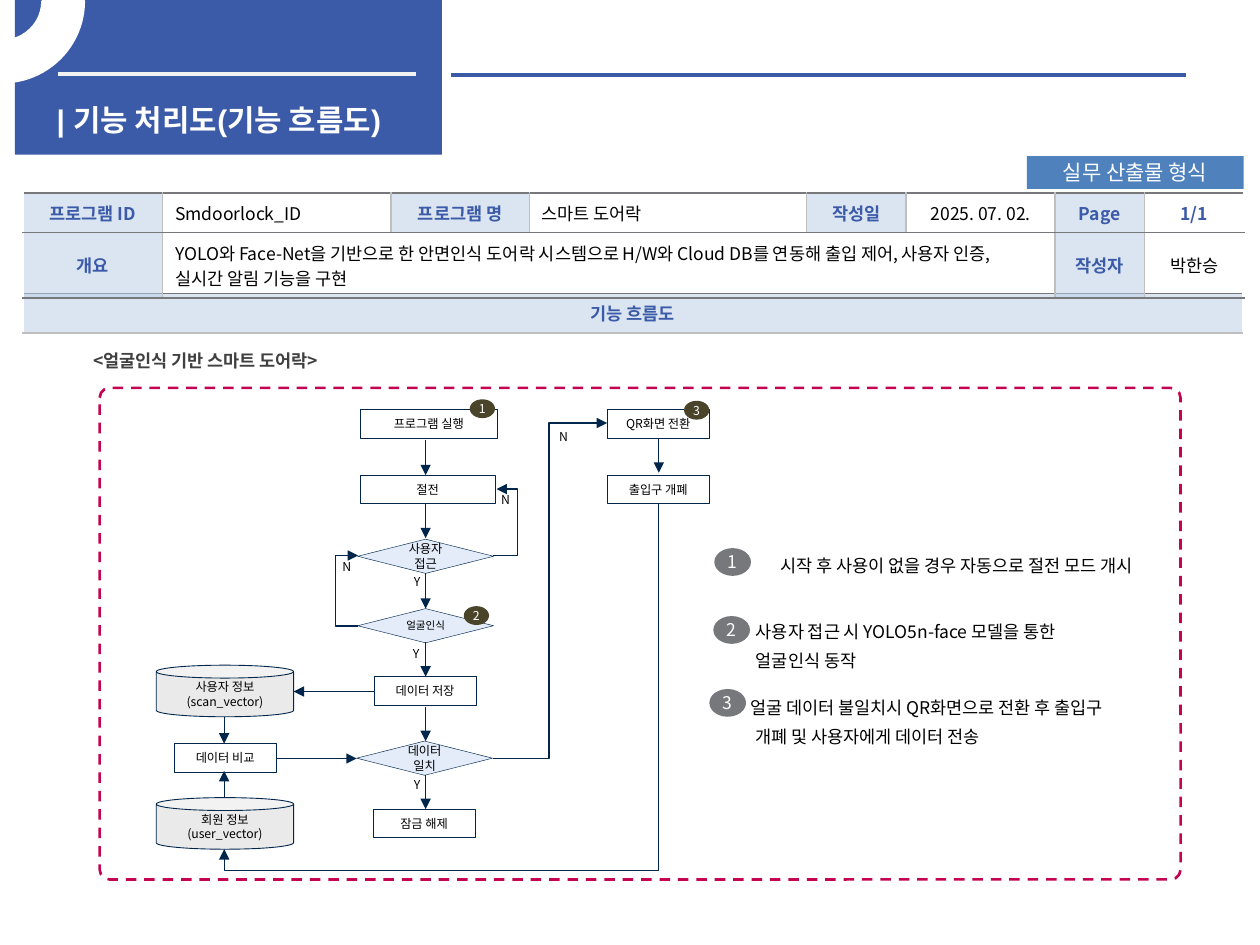
from lxml.etree import SubElement
from pptx import Presentation
from pptx.dml.color import RGBColor
from pptx.enum.dml import MSO_LINE
from pptx.enum.shapes import MSO_CONNECTOR, MSO_SHAPE
from pptx.enum.text import MSO_ANCHOR, MSO_AUTO_SIZE, PP_ALIGN
from pptx.oxml.ns import qn
from pptx.util import Cm, Pt

COLORS = {
    "blue": "3B5AA8", "tag": "4F81BD", "header": "B9CDE5", "white": "FFFFFF",
    "black": "000000", "heading": "404040", "rule": "F2F2F2", "gray": "77787B",
    "light": "BFBFBF", "frame": "C40452", "navy": "00264C", "decision": "E3ECF8",
    "store": "EAEAEA", "olive": "4A452A",
}
FONT = "Noto Sans CJK KR"


def rgb(name):
    """Look up a named colour."""
    return RGBColor.from_string(COLORS[name])


def write(frame, lines, size, color="black", bold=False, font=FONT, align=PP_ALIGN.CENTER):
    """Fill a text frame with one paragraph per line."""
    for index, line in enumerate(lines):
        paragraph = frame.paragraphs[0] if index == 0 else frame.add_paragraph()
        paragraph.alignment = align
        run = paragraph.add_run()
        run.text = line
        run.font.size = Pt(size)
        run.font.bold = bold
        run.font.color.rgb = rgb(color)
        run.font.name = font
        SubElement(run.font._element, qn("a:ea"), typeface=FONT)


def set_margins(frame, margin):
    """Give a text frame the same inset on all sides."""
    frame.margin_left = frame.margin_right = Cm(margin)
    frame.margin_top = frame.margin_bottom = Cm(margin)


def add_box(slide, kind, box, fill=None, line=None, width=0.5):
    """Add a flat preset shape."""
    shape = slide.shapes.add_shape(kind, *map(Cm, box))
    shape.shadow.inherit = False
    if fill:
        shape.fill.solid()
        shape.fill.fore_color.rgb = rgb(fill)
    else:
        shape.fill.background()
    if line:
        shape.line.color.rgb = rgb(line)
        shape.line.width = Pt(width)
    else:
        shape.line.fill.background()
    return shape


def add_node(slide, kind, box, lines, fill=None, width=0.5, size=7, margin=0.1):
    """Add a labelled step of the flow chart."""
    node = add_box(slide, kind, box, fill, "navy", width)
    frame = node.text_frame
    frame.word_wrap = True
    frame.vertical_anchor = MSO_ANCHOR.MIDDLE
    if margin:
        set_margins(frame, margin)
    write(frame, lines, size)


def add_badge(slide, number, x, y, width, height, fill, size):
    """Add a numbered oval."""
    frame = add_box(slide, MSO_SHAPE.OVAL, (x, y, width, height), fill).text_frame
    frame.word_wrap = False
    frame.vertical_anchor = MSO_ANCHOR.MIDDLE
    set_margins(frame, 0.15)
    write(frame, [str(number)], size, "white")


def add_label(slide, box, lines, size, color="black", bold=False, align=PP_ALIGN.LEFT, wrap=True):
    """Add a text box and return its text frame."""
    frame = slide.shapes.add_textbox(*map(Cm, box)).text_frame
    frame.word_wrap = wrap
    write(frame, lines, size, color, bold, align=align)
    return frame


def add_note(slide, box, lines, align=PP_ALIGN.LEFT, hang=0):
    """Add an explanation, with later lines indented by hang."""
    frame = add_label(slide, box, lines, 10, align=align)
    for index, paragraph in enumerate(frame.paragraphs):
        paragraph.line_spacing = 1.2
        if index:
            paragraph.space_before = Pt(2)
            paragraph._p.get_or_add_pPr().set("marL", str(Cm(hang)))


def add_line(slide, start, end, color="navy", width=0.75, arrow=True, kind=MSO_CONNECTOR.STRAIGHT):
    """Add a line, by default an arrow."""
    line = slide.shapes.add_connector(kind, *map(Cm, (*start, *end)))
    line.line.color.rgb = rgb(color)
    line.line.width = Pt(width)
    if arrow:
        SubElement(line.line._get_or_add_ln(), qn("a:tailEnd"), type="triangle")
    SubElement(line._element.spPr, qn("a:effectLst"))
    return line


def add_elbow(slide, start, end, via, vertical=False):
    """Add a bent arrow whose middle leg lies at via."""
    (x1, y1), (x2, y2) = start, end
    ratio = (via - y1) / (y2 - y1) if vertical else (via - x1) / (x2 - x1)
    if vertical:
        mid_x, mid_y = (x1 + x2) / 2, (y1 + y2) / 2
        half_w, half_h = abs(y2 - y1) / 2, abs(x2 - x1) / 2
        start, end = (mid_x - half_w, mid_y - half_h), (mid_x + half_w, mid_y + half_h)
    elbow = add_line(slide, start, end, kind=MSO_CONNECTOR.ELBOW)
    properties = elbow._element.spPr
    if vertical:
        properties.find(qn("a:xfrm")).set("rot", "5400000")
    guides = properties.find(qn("a:prstGeom")).find(qn("a:avLst"))
    SubElement(guides, qn("a:gd"), name="adj1", fmla=f"val {round(ratio * 100000)}")


def format_cell(cell, borders, fill=None):
    """Set the borders (left, right, top, bottom) and the fill of a cell."""
    properties = cell._tc.get_or_add_tcPr()
    for side, color in zip("LRTB", borders):
        border = SubElement(properties, qn(f"a:ln{side}"), w=str(Pt(1)))
        SubElement(SubElement(border, qn("a:solidFill")), qn("a:srgbClr"), val=COLORS[color])
    cell.vertical_anchor = MSO_ANCHOR.MIDDLE
    if fill:
        cell.fill.solid()
        cell.fill.fore_color.rgb = rgb(fill)
        SubElement(properties.find(qn("a:solidFill"))[0], qn("a:alpha"), val="50000")
    else:
        cell.fill.background()


def add_grid(slide, x, y, widths, heights):
    """Add an unstyled table."""
    size = map(Cm, (x, y, sum(widths), sum(heights)))
    table = slide.shapes.add_table(len(heights), len(widths), *size).table
    table.first_row = table.horz_banding = False
    for column, width in zip(table.columns, widths):
        column.width = Cm(width)
    for row, height in zip(table.rows, heights):
        row.height = Cm(height)
    return table


def add_flow_area(slide):
    """Add the table that heads the flow chart area."""
    table = add_grid(slide, 0.46, 5.92, [24.59], [0.79, 10.54])
    format_cell(table.cell(0, 0), ("white", "white", "gray", "light"), "header")
    write(table.cell(0, 0).text_frame, ["기능 흐름도"], 10, "blue", True)
    format_cell(table.cell(1, 0), ("white", "white", "light", "white"))


def add_overview(slide):
    """Add the table of program details."""
    summary = ("YOLO와 Face-Net을 기반으로 한 안면인식 도어락 시스템으로 H/W와 Cloud DB를 "
               "연동해 출입 제어, 사용자 인증, 실시간 알림 기능을 구현")
    rows = [
        ["프로그램 ID", "Smdoorlock_ID", "프로그램 명", "스마트 도어락", "작성일",
         "2025. 07. 02.", "Page", "1/1"],
        ["개요", summary, "", "", "", "", "작성자", "박한승"],
    ]
    headers = {"프로그램 ID", "프로그램 명", "작성일", "Page", "개요", "작성자"}
    widths = [2.82, 4.6, 2.79, 5.59, 2.01, 3, 1.8, 2.01]
    table = add_grid(slide, 0.46, 3.89, widths, [0.8, 1.32])
    table.cell(1, 1).merge(table.cell(1, 5))
    last = len(widths) - 1
    for r, row in enumerate(rows):
        for c, text in enumerate(row):
            cell = table.cell(r, c)
            edges = ("light" if c else "white", "white" if c == last else "light", "gray", "gray")
            format_cell(cell, edges, "header" if text in headers else None)
            if text:
                strong = text in headers or text == "1/1"
                align = PP_ALIGN.LEFT if c in (1, 3) else PP_ALIGN.CENTER
                write(cell.text_frame, [text], 10, "blue" if strong else "black", strong, align=align)


def add_banner(slide):
    """Add the title block with its rules and ring."""
    add_box(slide, MSO_SHAPE.RECTANGLE, (0.3, 0, 8.61, 3.12), "blue")
    add_line(slide, (1.17, 1.5), (8.38, 1.5), "rule", 2.25, False)
    add_line(slide, (9.09, 1.52), (23.9, 1.52), "blue", 2.25, False)
    title = slide.shapes.title
    title.left, title.top, title.width, title.height = map(Cm, (0.89, 1.93, 7.8, 0.81))
    title.element.getparent().append(title.element)
    frame = title.text_frame
    frame.auto_size = MSO_AUTO_SIZE.NONE
    frame.word_wrap = False
    frame.vertical_anchor = MSO_ANCHOR.TOP
    write(frame, ["| 기능 처리도(기능 흐름도)"], 17, "white", True, "Arial", PP_ALIGN.LEFT)
    ring = add_box(slide, MSO_SHAPE.BLOCK_ARC, (-1.6, -1.6, 3.28, 3.25), "white", "white", 2)
    for index, value in enumerate((96.95, 0, 0.25)):
        ring.adjustments[index] = value
    ring.element.spPr.find(qn("a:xfrm")).set("flipV", "1")


def add_flow_chart(slide):
    """Add the steps, arrows and branch labels of the flow chart."""
    for text, x, y, width in [
        ("프로그램 실행", 7.26, 8.26, 2.77), ("절전", 7.26, 9.58, 2.72),
        ("데이터 저장", 7.54, 13.64, 2.06), ("잠금 해제", 7.52, 16.31, 2.06),
        ("데이터 비교", 3.51, 14.99, 2.06), ("QR화면 전환", 12.24, 8.26, 2.06),
        ("출입구 개폐", 12.24, 9.58, 2.06),
    ]:
        add_node(slide, MSO_SHAPE.RECTANGLE, (x, y, width, 0.58), [text])
    for text, x, y, size in [("사용자 접근", 7.21, 10.87, 7), ("얼굴인식", 7.21, 12.27, 6),
                             ("데이터 일치", 7.19, 14.94, 7)]:
        add_node(slide, MSO_SHAPE.FLOWCHART_DECISION, (x, y, 2.74, 0.69), [text],
                 "decision", 0.25, size, None)
    for lines, y in [(["사용자 정보", "(scan_vector)"], 13.41), (["회원 정보", "(user_vector)"], 16.08)]:
        add_node(slide, MSO_SHAPE.CAN, (3.15, y, 2.77, 1.04), lines, "store")
    for x, top, bottom in [
        (8.58, 8.86, 9.58), (8.58, 10.16, 10.85), (8.58, 11.56, 12.27), (8.58, 12.95, 13.64),
        (8.58, 14.25, 14.94), (8.58, 15.62, 16.31), (13.28, 8.84, 9.53),
        (4.52, 14.45, 14.99), (4.52, 16.08, 15.54),
    ]:
        add_line(slide, (x, top), (x, bottom))
    add_line(slide, (7.54, 13.94), (5.92, 13.94))
    add_line(slide, (5.56, 15.29), (7.19, 15.29))
    add_elbow(slide, (9.93, 11.2), (10.01, 9.86), 10.44)
    add_elbow(slide, (7.21, 12.62), (7.22, 11.2), 6.76)
    add_elbow(slide, (9.93, 15.29), (12.24, 8.53), 11.07)
    add_elbow(slide, (13.28, 10.16), (4.52, 17.12), 17.55, vertical=True)
    for text, x, y in [("Y", 8.05, 11.46), ("Y", 8.03, 12.9), ("Y", 8.05, 15.54),
                       ("N", 9.83, 9.8), ("N", 6.63, 11.15), ("N", 11, 8.53)]:
        add_label(slide, (x, y, 0.72, 0.58), [text], 7, align=PP_ALIGN.CENTER, wrap=False)
    for number, (x, y) in enumerate([(9.47, 8.05), (9.35, 12.22), (13.79, 8.08)], 1):
        add_badge(slide, number, x, y, 0.51, 0.38, "olive", 7)


def add_notes(slide):
    """Add the numbered explanations beside the chart."""
    for number, (x, y) in enumerate([(14.4, 11.05), (14.38, 12.42), (14.3, 13.89)], 1):
        add_badge(slide, number, x, y, 0.74, 0.56, "gray", 10)
    add_note(slide, (14.96, 10.97, 8.64, 0.71), ["시작 후 사용이 없을 경우 자동으로 절전 모드 개시"],
             PP_ALIGN.CENTER)
    add_note(slide, (14.99, 12.32, 7.32, 1.37), ["사용자 접근 시 YOLO5n-face 모델을 통한", "얼굴인식 동작"])
    add_note(slide, (14.88, 13.84, 8.64, 1.32),
             ["얼굴 데이터 불일치시 QR화면으로 전환 후 출입구", "개폐 및 사용자에게 데이터 전송"], hang=0.1)


def main():
    """Build the slide and save it."""
    deck = Presentation()
    deck.slide_width, deck.slide_height = Cm(25.4), Cm(19.05)
    slide = deck.slides.add_slide(deck.slide_layouts[5])
    add_banner(slide)
    add_flow_area(slide)
    add_label(slide, (1.63, 6.93, 13.79, 0.71), ["<얼굴인식 기반 스마트 도어락>"], 10, "heading", True)
    frame = add_box(slide, MSO_SHAPE.ROUNDED_RECTANGLE, (2.01, 7.82, 21.79, 9.91), None, "frame", 1.5)
    frame.adjustments[0] = 0.02
    frame.line.dash_style = MSO_LINE.DASH
    add_overview(slide)
    tag = add_box(slide, MSO_SHAPE.RECTANGLE, (20.7, 3.15, 4.37, 0.66), "tag")
    write(tag.text_frame, ["실무 산출물 형식"], 12, "white")
    add_flow_chart(slide)
    add_notes(slide)
    deck.save("out.pptx")


if __name__ == "__main__":
    main()
